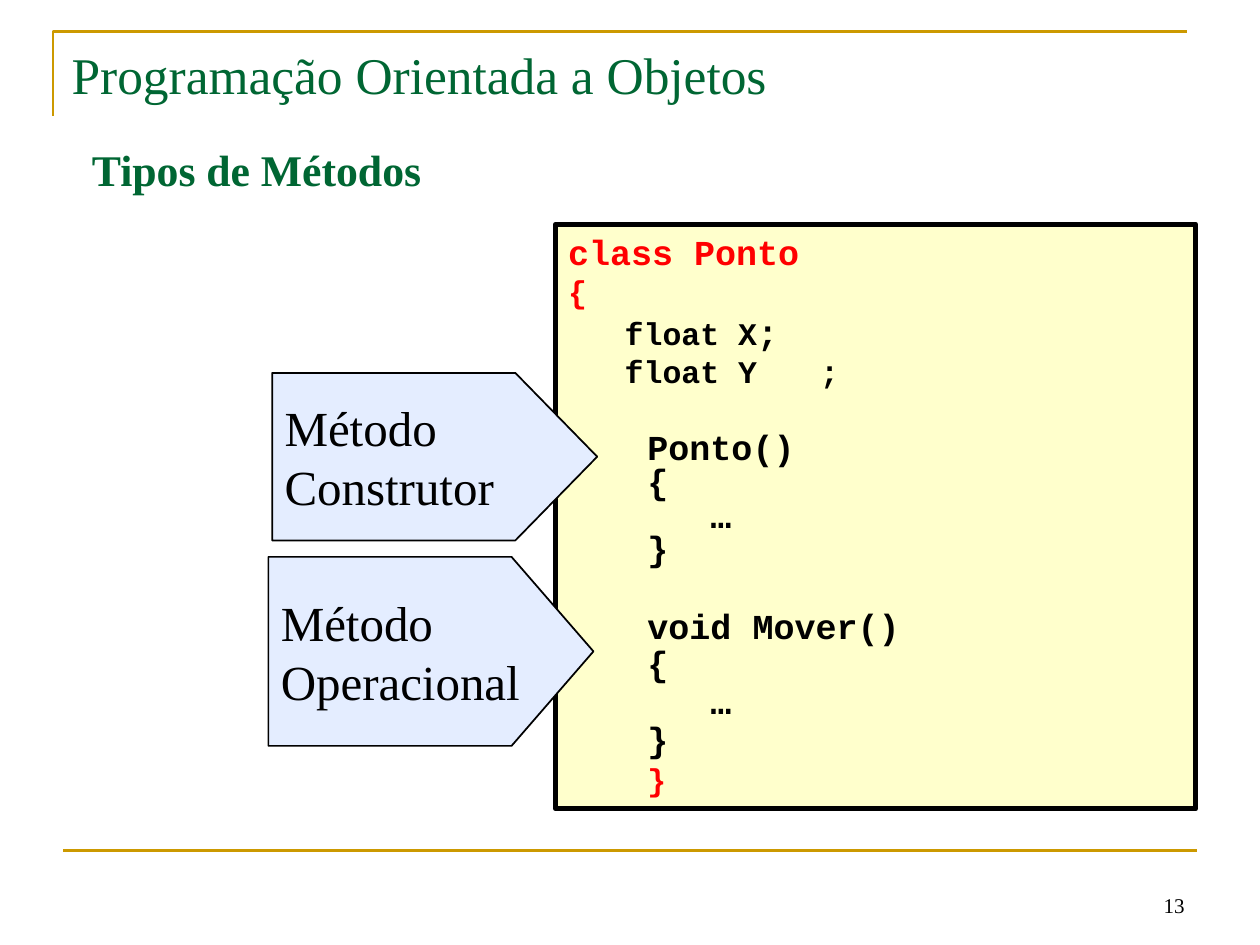
"""Build a slide on constructor and operational methods."""
from lxml import etree
from pptx import Presentation
from pptx.dml.color import RGBColor
from pptx.enum.shapes import MSO_CONNECTOR, MSO_SHAPE
from pptx.enum.text import MSO_ANCHOR, MSO_AUTO_SIZE, PP_ALIGN
from pptx.oxml.ns import qn
from pptx.util import Inches, Pt

RECT, ARROW = MSO_SHAPE.RECTANGLE, MSO_SHAPE.PENTAGON
LINE = MSO_CONNECTOR.STRAIGHT
TOP, MID, LOW = MSO_ANCHOR.TOP, MSO_ANCHOR.MIDDLE, MSO_ANCHOR.BOTTOM
LEFT, RIGHT = PP_ALIGN.LEFT, PP_ALIGN.RIGHT
FIXED = MSO_AUTO_SIZE.NONE
SERIF, MONO = "Times New Roman", "Courier New"
COLORS = {"gold": "CC9900", "green": "006633", "cream": "FFFFCC",
          "blue": "E4EDFF", "black": "000000", "red": "FF0000"}
INDENT, GAP, TAB = 0.63, 20.4, 1.67
CODE = [
    ([("class Ponto", 20, "red")], 0, 1, 0),
    ([("{", 18, "red")], 0, 1, 0),
    ([("   float X", 18, "black"), (";", 20, "black")], 0, 1, 0),
    ([("   float Y\t;", 18, "black")], 0, 1, 0),
    ([("Ponto()", 20, "black")], INDENT, 1, GAP),
    ([("{", 20, "black")], INDENT, 0.8, 0),
    ([("   …", 20, "black")], INDENT, 0.8, 0),
    ([("}", 20, "black")], INDENT, 0.8, 0),
    ([("void Mover()", 20, "black")], INDENT, 1, GAP),
    ([("{", 20, "black")], INDENT, 0.9, 0),
    ([("   …", 20, "black")], INDENT, 0.9, 0),
    ([("}", 20, "black")], INDENT, 0.9, 0),
    ([("}", 18, "red")], INDENT, 1, 0),
]


def color(name):
    """Return a named colour."""
    return RGBColor.from_string(COLORS[name])


def place(item, box):
    """Set the position and size of an item."""
    item.left, item.top, item.width, item.height = map(Inches, box)


def stroke(item, name, width):
    """Set the outline of an item."""
    item.line.color.rgb = color(name)
    item.line.width = Pt(width)


def frame(item, anchor):
    """Prepare and return the text frame of an item."""
    text = item.text_frame
    text.word_wrap = True
    text.auto_size = FIXED
    text.vertical_anchor = anchor
    return text


def line_at(text, index):
    """Return the paragraph for a line, adding it after the first."""
    return text.add_paragraph() if index else text.paragraphs[0]


def add_run(para, words, size, name, face=SERIF, bold=False):
    """Add one formatted run."""
    run = para.add_run()
    run.text = words
    font = run.font
    font.name, font.size, font.bold = face, Pt(size), bold
    font.color.rgb = color(name)


def add_label(slide, box, words, size, name, anchor, align=LEFT, space=1):
    """Add a text box with one line."""
    item = slide.shapes.add_textbox(*map(Inches, box))
    para = frame(item, anchor).paragraphs[0]
    para.alignment, para.line_spacing = align, space
    add_run(para, words, size, name)


def add_block(slide, kind, box, fill, width):
    """Add a filled and outlined shape."""
    item = slide.shapes.add_shape(kind, *map(Inches, box))
    item.shadow.inherit = False
    item.fill.solid()
    item.fill.fore_color.rgb = color(fill)
    stroke(item, "black", width)
    return item


def add_rules(slide):
    """Add the corner rule and the foot rule."""
    path = slide.shapes.build_freeform(Inches(0.42), Inches(0.92))
    path.add_line_segments([(Inches(0.42), Inches(0.25)),
                            (Inches(9.42), Inches(0.25))], close=False)
    edge = path.convert_to_shape()
    edge.shadow.inherit = False
    edge.fill.background()
    foot = slide.shapes.add_connector(
        LINE, Inches(0.5), Inches(6.75), Inches(9.5), Inches(6.75))
    etree.SubElement(foot._element.spPr, qn("a:effectLst"))
    for item in (edge, foot):
        stroke(item, "gold", 1.5)


def set_title(slide, words):
    """Fill and move the title placeholder."""
    title = slide.shapes.title
    place(title, (0.63, 1.03, 3.15, 0.7))
    text = frame(title, TOP)
    text.margin_top = Inches(0.1)
    para = text.paragraphs[0]
    para.alignment = LEFT
    add_run(para, words, 25, "green", bold=True)


def add_code(slide):
    """Add the box with the class listing."""
    item = add_block(slide, RECT, (4.41, 1.78, 5.08, 4.64), "cream", 3)
    text = frame(item, TOP)
    for index, (runs, indent, space, gap) in enumerate(CODE):
        para = line_at(text, index)
        props = para._p.get_or_add_pPr()
        props.set("marL", str(Inches(indent)))
        props.set("indent", "0")
        tabs = etree.SubElement(props, qn("a:tabLst"))
        etree.SubElement(tabs, qn("a:tab"), pos=str(Inches(TAB)), algn="l")
        para.alignment, para.line_spacing = LEFT, space
        if gap:
            para.space_before = Pt(gap)
        for words, size, name in runs:
            add_run(para, words, size, name, MONO, True)


def add_arrow(slide, box, lines):
    """Add a pointed label for one kind of method."""
    item = add_block(slide, ARROW, box, "blue", 1)
    item.adjustments[0] = 0.65 / box[3]
    text = frame(item, MID)
    for index, words in enumerate(lines):
        para = line_at(text, index)
        para.alignment = LEFT
        add_run(para, words, 28, "black")


def main():
    """Build and save the slide."""
    deck = Presentation()
    deck.slide_width, deck.slide_height = Inches(10), Inches(7.5)
    slide = deck.slides.add_slide(deck.slide_layouts[5])
    add_rules(slide)
    add_label(slide, (7.17, 6.83, 2.33, 0.5), "13", 12, "black", LOW, RIGHT)
    set_title(slide, "Tipos de Métodos")
    add_code(slide)
    add_arrow(slide, (2.16, 2.96, 2.58, 1.33), ("Método", "Construtor"))
    add_arrow(slide, (2.13, 4.42, 2.58, 1.5), ("Método", "Operacional"))
    add_label(slide, (0.47, 0.32, 8.92, 0.63),
              "Programação Orientada a Objetos", 29.4, "green", MID, space=0.8)
    deck.save("out.pptx")


if __name__ == "__main__":
    main()
